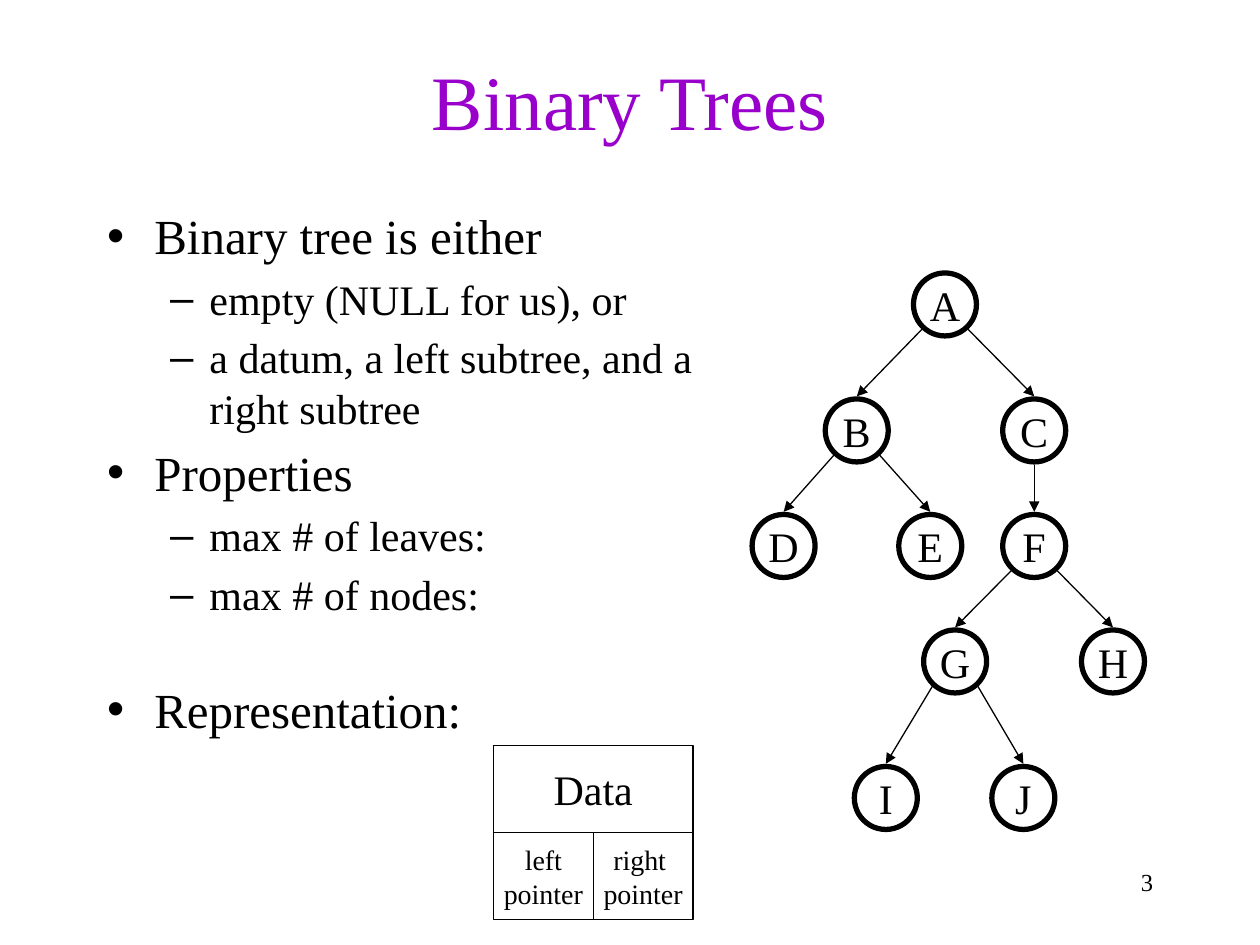
from dataclasses import dataclass

from lxml.etree import SubElement
from pptx import Presentation
from pptx.dml.color import RGBColor
from pptx.enum.shapes import MSO_CONNECTOR, MSO_SHAPE
from pptx.enum.text import MSO_ANCHOR, MSO_AUTO_SIZE, PP_ALIGN
from pptx.oxml.ns import qn
from pptx.util import Pt


@dataclass(frozen=True)
class Theme:
    font: str = "Times New Roman"
    ink: RGBColor = RGBColor(0x00, 0x00, 0x00)
    accent: RGBColor = RGBColor(0x99, 0x00, 0xCC)
    title: float = 44
    topic: float = 28
    detail: float = 24
    field: float = 16
    number: float = 14
    thin: float = 0.75
    thick: float = 3


@dataclass(frozen=True)
class Level:
    bullet: str
    size: float
    margin: float
    hanging: float


@dataclass(frozen=True)
class Point:
    text: str
    level: int
    gap: float = 0


@dataclass(frozen=True)
class Node:
    center: float
    depth: int
    parent: str = ""


@dataclass(frozen=True)
class Field:
    text: str
    column: int
    row: int
    span: int
    size: float


THEME = Theme()
LEVELS = [Level("•", THEME.topic, 27, 27), Level("–", THEME.detail, 58.5, 22.5)]
POINTS = [
    Point("Binary tree is either", 0),
    Point("empty (NULL for us), or", 1, 4.8),
    Point("a datum, a left subtree, and a right subtree", 1, 4.8),
    Point("Properties", 0, 5.6),
    Point("max # of leaves:", 1, 4.8),
    Point("max # of nodes:", 1, 4.8),
    Point("Representation:", 0, 34.5),
]
DEPTH_TOPS = [156, 228, 294, 360, 438]
DIAMETER = 36
TREE = {
    "A": Node(540, 0),
    "B": Node(489.6, 1, "A"),
    "C": Node(591, 1, "A"),
    "D": Node(447.8, 2, "B"),
    "E": Node(531.6, 2, "B"),
    "F": Node(591, 2, "C"),
    "G": Node(545.8, 3, "F"),
    "H": Node(636, 3, "F"),
    "I": Node(506.2, 4, "G"),
    "J": Node(584.8, 4, "G"),
}
RECORD_LEFT, RECORD_TOP = 282, 426
FIELD_WIDTH, FIELD_HEIGHT = 57, 49.8
FIELDS = [
    Field("Data", 0, 0, 2, THEME.detail),
    Field("right \npointer", 1, 1, 1, THEME.field),
    Field("left\npointer", 0, 1, 1, THEME.field),
]


def place(shape, left: float, top: float, width: float, height: float) -> None:
    shape.left, shape.top = Pt(left), Pt(top)
    shape.width, shape.height = Pt(width), Pt(height)


def style_text(paragraph, size: float, align: PP_ALIGN, color: RGBColor = THEME.ink) -> None:
    paragraph.alignment = align
    for run in paragraph.runs:
        run.font.name = THEME.font
        run.font.size = Pt(size)
        run.font.color.rgb = color


def add_title(slide) -> None:
    title = slide.shapes.title
    place(title, 54, 12, 612, 90)
    title.text_frame.text = "Binary Trees"
    title.text_frame.vertical_anchor = MSO_ANCHOR.MIDDLE
    style_text(title.text_frame.paragraphs[0], THEME.title, PP_ALIGN.CENTER, THEME.accent)


def add_points(slide) -> None:
    body = slide.placeholders[1]
    place(body, 54, 114, 354, 324)
    frame = body.text_frame
    frame.auto_size = MSO_AUTO_SIZE.NONE
    frame.text = "\n".join(point.text for point in POINTS)
    for point, paragraph in zip(POINTS, frame.paragraphs):
        level = LEVELS[point.level]
        paragraph.level = point.level
        properties = paragraph._p.get_or_add_pPr()
        properties.set("marL", str(Pt(level.margin)))
        properties.set("indent", str(-Pt(level.hanging)))
        SubElement(properties, qn("a:buChar")).set("char", level.bullet)
        paragraph.space_before = Pt(point.gap)
        style_text(paragraph, level.size, PP_ALIGN.LEFT)


def add_outline(shapes, kind: MSO_SHAPE, text: str, size: float, weight: float,
                left: float, top: float, width: float, height: float) -> None:
    """Add an unfilled shape with centred text."""
    outline = shapes.add_shape(kind, Pt(left), Pt(top), Pt(width), Pt(height))
    outline.shadow.inherit = False
    outline.fill.background()
    outline.line.color.rgb = THEME.ink
    outline.line.width = Pt(weight)
    frame = outline.text_frame
    frame.text = text
    frame.word_wrap = False
    frame.vertical_anchor = MSO_ANCHOR.MIDDLE
    for paragraph in frame.paragraphs:
        style_text(paragraph, size, PP_ALIGN.CENTER)


def add_branch(slide, parent: Node, child: Node) -> None:
    """Draw an arrow from the parent's lower rim to just above the child."""
    parent_top = DEPTH_TOPS[parent.depth]
    side = (child.center > parent.center) - (child.center < parent.center)
    start_x = parent.center + 12.7 * side
    start_y = parent_top + (31.7 if side else DIAMETER + 1.5)
    branch = slide.shapes.add_connector(
        MSO_CONNECTOR.STRAIGHT, Pt(start_x), Pt(start_y),
        Pt(child.center), Pt(DEPTH_TOPS[child.depth] - 1.5))
    branch.line.color.rgb = THEME.ink
    branch.line.width = Pt(THEME.thin)
    SubElement(branch.line._get_or_add_ln(), qn("a:tailEnd")).set("type", "triangle")
    SubElement(branch._element.spPr, qn("a:effectLst"))


def add_tree(slide) -> None:
    for letter, node in TREE.items():
        add_outline(slide.shapes, MSO_SHAPE.OVAL, letter, THEME.detail, THEME.thick,
                    node.center - DIAMETER / 2, DEPTH_TOPS[node.depth], DIAMETER, DIAMETER)
        if node.parent:
            add_branch(slide, TREE[node.parent], node)


def add_record(slide) -> None:
    record = slide.shapes.add_group_shape()
    for field in FIELDS:
        add_outline(record.shapes, MSO_SHAPE.RECTANGLE, field.text, field.size, THEME.thin,
                    RECORD_LEFT + field.column * FIELD_WIDTH,
                    RECORD_TOP + field.row * FIELD_HEIGHT,
                    field.span * FIELD_WIDTH, FIELD_HEIGHT)


def add_page_number(slide) -> None:
    number = slide.shapes.add_textbox(Pt(516), Pt(492), Pt(150), Pt(36))
    number.text_frame.word_wrap = True
    number.text_frame.text = "3"
    style_text(number.text_frame.paragraphs[0], THEME.number, PP_ALIGN.RIGHT)


def main() -> None:
    presentation = Presentation()
    presentation.slide_width, presentation.slide_height = Pt(720), Pt(540)
    slide = presentation.slides.add_slide(presentation.slide_layouts[1])
    add_title(slide)
    add_points(slide)
    add_tree(slide)
    add_record(slide)
    add_page_number(slide)
    presentation.save("out.pptx")


if __name__ == "__main__":
    main()
